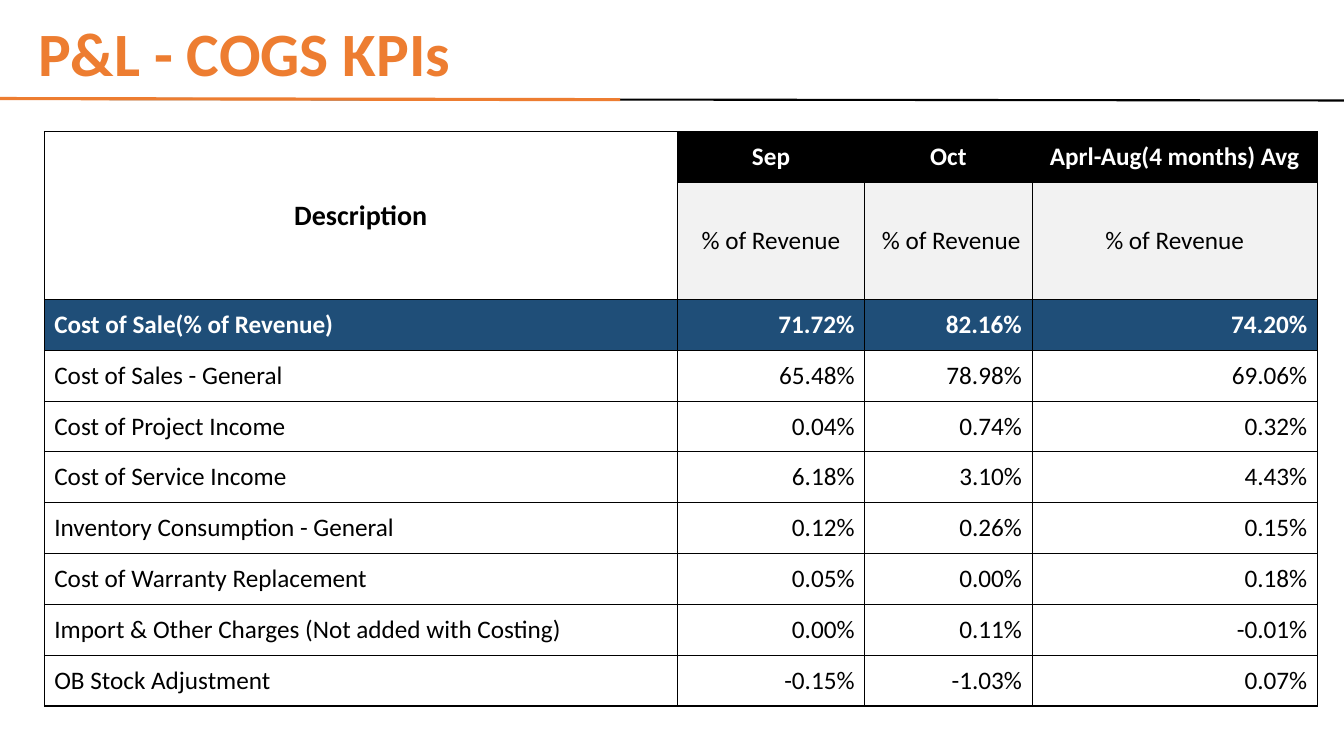
import pptx
import pptx.util
import pptx.dml.color
import pptx.enum.shapes
import pptx.enum.text
import pptx.oxml
import pptx.oxml.ns

Pt = pptx.util.Pt
RGBColor = pptx.dml.color.RGBColor
ALIGN = pptx.enum.text.PP_ALIGN
MIDDLE = pptx.enum.text.MSO_ANCHOR.MIDDLE

FONT = "Calibri"
BLACK = RGBColor(0x00, 0x00, 0x00)
WHITE = RGBColor(0xFF, 0xFF, 0xFF)
ORANGE = RGBColor(0xED, 0x7D, 0x31)
GREY = RGBColor(0xF2, 0xF2, 0xF2)
NAVY = RGBColor(0x1F, 0x4E, 0x78)

COL_WIDTHS = [452.2, 133.9, 119.5, 203.8]
ROW_HEIGHT = 36.3
SUBHEAD_HEIGHT = 83.6

PERIODS = [" Sep ", "Oct", " Aprl-Aug(4 months) Avg "]
MEASURE = " % of Revenue "
COSTS = [
    ("Cost of Sale(% of Revenue)", "71.72%", "82.16%", "74.20%"),
    ("Cost of Sales - General", "65.48%", "78.98%", "69.06%"),
    ("Cost of Project Income", "0.04%", "0.74%", "0.32%"),
    ("Cost of Service Income", "6.18%", "3.10%", "4.43%"),
    ("Inventory Consumption - General", "0.12%", "0.26%", "0.15%"),
    ("Cost of Warranty Replacement", "0.05%", "0.00%", "0.18%"),
    ("Import & Other Charges (Not added with Costing)", "0.00%", "0.11%", "-0.01%"),
    ("OB Stock Adjustment", "-0.15%", "-1.03%", "0.07%"),
]


def format_text(p, size, color, bold, align):
    p.alignment = align
    for r in p.runs:
        r.font.name = FONT
        r.font.size = Pt(size)
        r.font.bold = bold
        r.font.color.rgb = color


def add_title(s, text):
    sp = s.shapes.add_textbox(Pt(20.2), Pt(7.9), Pt(717), Pt(65.5))
    tf = sp.text_frame
    tf.word_wrap = True
    tf.vertical_anchor = MIDDLE
    p = tf.paragraphs[0]
    p.text = text
    p.line_spacing = 0.9
    format_text(p, 44, ORANGE, True, ALIGN.LEFT)


def add_rule(s, x1, y1, x2, y2, color, width):
    line = s.shapes.add_connector(
        pptx.enum.shapes.MSO_CONNECTOR.STRAIGHT, Pt(x1), Pt(y1), Pt(x2), Pt(y2))
    line.line.color.rgb = color
    line.line.width = Pt(width)
    line._element.spPr.append(pptx.oxml.parse_xml(
        f"<a:effectLst {pptx.oxml.ns.nsdecls('a')}/>"))


def set_borders(cell, top, bottom, sides):
    tcPr = cell._tc.get_or_add_tcPr()
    for side, width in (("L", sides), ("R", sides), ("T", top), ("B", bottom)):
        tcPr.append(pptx.oxml.parse_xml(
            f'<a:ln{side} {pptx.oxml.ns.nsdecls("a")} w="{Pt(width)}">'
            f'<a:solidFill><a:srgbClr val="{BLACK}"/></a:solidFill></a:ln{side}>'))


def fill_cell(cell, text, fill, color=BLACK, bold=False, align=ALIGN.CENTER,
              size=18, top=0.5, bottom=0.5, sides=0.5):
    # Borders come before the fill in the cell properties
    set_borders(cell, top, bottom, sides)
    if fill is None:
        cell.fill.background()
    else:
        cell.fill.solid()
        cell.fill.fore_color.rgb = fill
    cell.vertical_anchor = MIDDLE
    p = cell.text_frame.paragraphs[0]
    p.text = text
    format_text(p, size, color, bold, align)


def add_kpi_table(s):
    heights = [ROW_HEIGHT, SUBHEAD_HEIGHT] + [ROW_HEIGHT] * len(COSTS)
    frame = s.shapes.add_table(len(heights), len(COL_WIDTHS), Pt(31.6), Pt(94),
                               Pt(sum(COL_WIDTHS)), Pt(sum(heights)))
    table = frame.table
    table.first_row = False
    table.horz_banding = False
    for column, width in zip(table.columns, COL_WIDTHS):
        column.width = Pt(width)
    for row, height in zip(table.rows, heights):
        row.height = Pt(height)

    # Two header rows
    table.cell(0, 0).merge(table.cell(1, 0))
    fill_cell(table.cell(0, 0), "Description", None, bold=True, size=20)
    set_borders(table.cell(1, 0), 0.5, 0.5, 0.5)
    for col, period in enumerate(PERIODS, 1):
        fill_cell(table.cell(0, col), period, BLACK, WHITE, True)
        fill_cell(table.cell(1, col), MEASURE, GREY)

    # Total row, then its components
    for i, values in enumerate(COSTS):
        total = i == 0
        last = i == len(COSTS) - 1
        for col, text in enumerate(values):
            fill_cell(table.cell(i + 2, col), text,
                      fill=NAVY if total else WHITE,
                      color=WHITE if total else BLACK,
                      bold=total,
                      align=ALIGN.RIGHT if col else ALIGN.LEFT,
                      top=0.5 if total else 0.75,
                      bottom=1.2 if last else 0.75,
                      sides=0.75)


def main():
    prs = pptx.Presentation()
    prs.slide_width = Pt(960)
    prs.slide_height = Pt(540)
    s = prs.slides.add_slide(prs.slide_layouts[6])

    # Title and the two-tone rule under it
    add_rule(s, 2, 70.6, 961, 71.8, BLACK, 1.5)
    add_title(s, "P&L - COGS KPIs")
    add_rule(s, 0, 70.4, 443, 71.2, ORANGE, 2.25)

    # Cost ratios by period
    add_kpi_table(s)

    prs.save("out.pptx")


if __name__ == "__main__":
    main()
